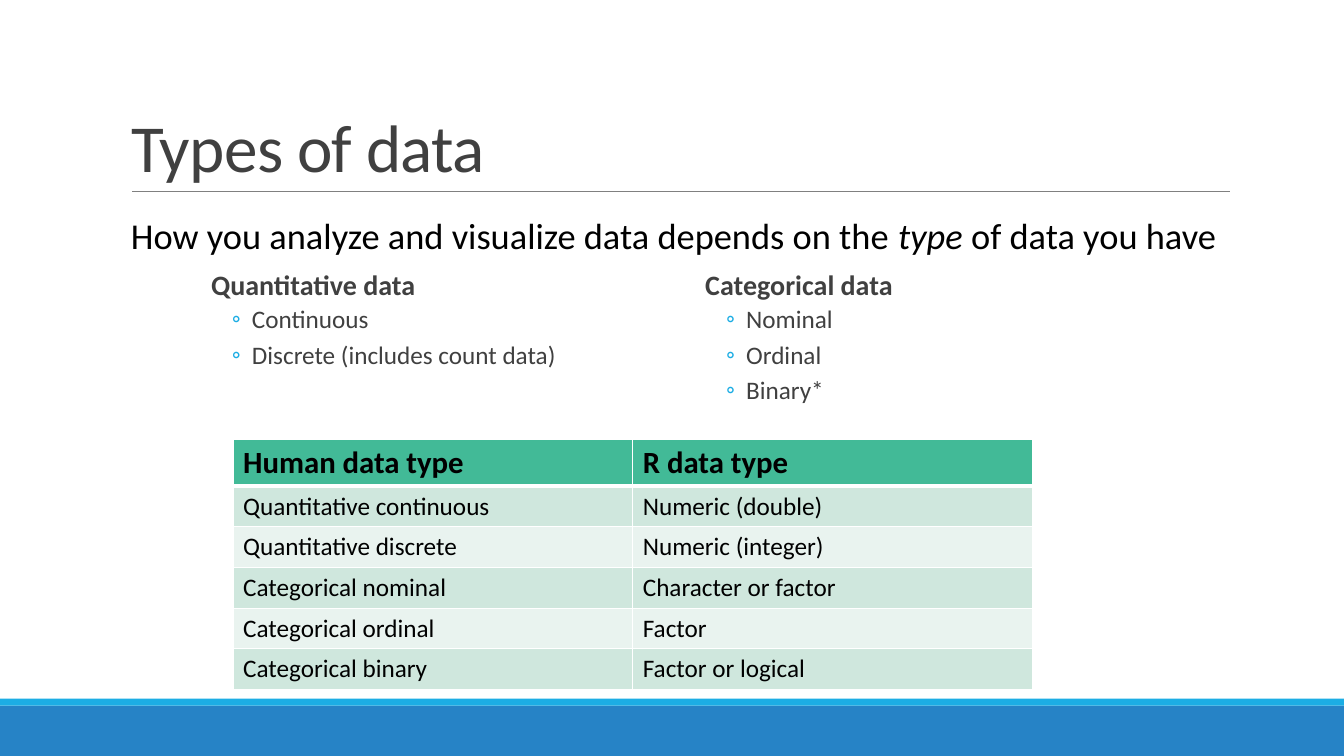
from lxml.etree import SubElement
from pptx import Presentation
from pptx.dml.color import RGBColor
from pptx.enum.shapes import MSO_CONNECTOR, MSO_SHAPE
from pptx.enum.text import MSO_ANCHOR, MSO_AUTO_SIZE, PP_ALIGN
from pptx.oxml.ns import qn
from pptx.util import Pt

BLACK = RGBColor(0x00, 0x00, 0x00)
DARK_GRAY = RGBColor(0x40, 0x40, 0x40)
RULE_GRAY = RGBColor(0x80, 0x80, 0x80)
WHITE = RGBColor(0xFF, 0xFF, 0xFF)
BLUE = RGBColor(0x26, 0x83, 0xC6)
CYAN = RGBColor(0x1C, 0xAD, 0xE4)
GREEN = RGBColor(0x42, 0xBA, 0x97)
MINT = RGBColor(0xCF, 0xE7, 0xDD)
PALE_MINT = RGBColor(0xE9, 0xF3, 0xEF)

FONT = "Calibri"
SLIDE_WIDTH, SLIDE_HEIGHT = 960, 540

DATA_KINDS = [
    ("Quantitative data", ["Continuous", "Discrete (includes count data)"]),
    ("Categorical data", ["Nominal", "Ordinal", "Binary*"]),
]
TYPE_ROWS = [
    ("Human data type", "R data type"),
    ("Quantitative continuous", "Numeric (double)"),
    ("Quantitative discrete", "Numeric (integer)"),
    ("Categorical nominal", "Character or factor"),
    ("Categorical ordinal", "Factor"),
    ("Categorical binary", "Factor or logical"),
]


def place(shape, left, top, width, height):
    shape.left, shape.top = Pt(left), Pt(top)
    shape.width, shape.height = Pt(width), Pt(height)


def set_font(paragraph, size, color, bold=False):
    font = paragraph.font
    font.name = FONT
    font.size = Pt(size)
    font.bold = bold
    font.color.rgb = color


def set_bullet(paragraph, indent, hanging, character=None):
    properties = paragraph._p.get_or_add_pPr()
    properties.set("marL", str(Pt(indent)))
    properties.set("indent", str(-Pt(hanging)))
    if character is None:
        SubElement(properties, qn("a:buNone"))
        return
    color = SubElement(properties, qn("a:buClr"))
    SubElement(color, qn("a:srgbClr"), val=str(CYAN))
    SubElement(properties, qn("a:buFont"), typeface=FONT)
    SubElement(properties, qn("a:buChar"), char=character)


def add_footer_bands(slide, left, top, width, height):
    stripe = 5
    bands = [(top + stripe, height - stripe, BLUE), (top, stripe, CYAN)]
    for band_top, band_height, color in bands:
        band = slide.shapes.add_shape(
            MSO_SHAPE.RECTANGLE, Pt(left), Pt(band_top), Pt(width), Pt(band_height)
        )
        band.shadow.inherit = False
        band.fill.solid()
        band.fill.fore_color.rgb = color
        band.line.fill.background()


def fill_title(slide, left, top, width, height):
    title = slide.shapes.title
    place(title, left, top, width, height)
    frame = title.text_frame
    frame.auto_size = MSO_AUTO_SIZE.NONE
    frame.vertical_anchor = MSO_ANCHOR.BOTTOM
    paragraph = frame.paragraphs[0]
    paragraph.alignment = PP_ALIGN.LEFT
    paragraph.line_spacing = 0.85
    set_font(paragraph, 48, DARK_GRAY)
    run = paragraph.add_run()
    run.text = "Types of data"
    run._r.get_or_add_rPr().set("spc", "-50")

    bottom = Pt(top + height)
    rule = slide.shapes.add_connector(
        MSO_CONNECTOR.STRAIGHT, Pt(left + 8), bottom, Pt(left + width + 87 - 87), bottom
    )
    rule.line.color.rgb = RULE_GRAY
    rule.line.width = Pt(0.5)
    SubElement(rule._element.spPr, qn("a:effectLst"))


def add_statement(slide, left, top, width, height):
    box = slide.shapes.add_textbox(Pt(left), Pt(top), Pt(width), Pt(height))
    box.text_frame.word_wrap = True
    paragraph = box.text_frame.paragraphs[0]
    set_font(paragraph, 26, BLACK)
    for text in ("How you analyze and visualize data depends on the ", "type", " of data you have"):
        run = paragraph.add_run()
        run.text = text
        run.font.italic = text == "type"


def fill_data_kind(placeholder, heading, kinds, left, top, width, height):
    place(placeholder, left, top, width, height)
    frame = placeholder.text_frame
    frame.auto_size = MSO_AUTO_SIZE.NONE
    frame.vertical_anchor = MSO_ANCHOR.TOP
    frame.margin_left = frame.margin_right = 0
    paragraph = frame.paragraphs[0]
    paragraph.text = heading
    paragraph.line_spacing = 0.9
    paragraph.space_before, paragraph.space_after = Pt(0), Pt(2)
    set_bullet(paragraph, 0.75, 0)
    set_font(paragraph, 20, DARK_GRAY, bold=True)
    for kind in kinds:
        paragraph = frame.add_paragraph()
        paragraph.text = kind
        paragraph.level = 1
        paragraph.line_spacing = 0.9
        paragraph.space_before, paragraph.space_after = Pt(2), Pt(4)
        set_bullet(paragraph, 30, 14.4, "◦")
        set_font(paragraph, 18, DARK_GRAY)


def set_borders(cell, bottom_width):
    properties = cell._tc.get_or_add_tcPr()
    for side, width in (("L", 1), ("R", 1), ("T", 1), ("B", bottom_width)):
        border = SubElement(properties, qn(f"a:ln{side}"), w=str(Pt(width)))
        fill = SubElement(border, qn("a:solidFill"))
        SubElement(fill, qn("a:srgbClr"), val=str(WHITE))


def add_type_table(slide, left, top, width, height):
    header_height = 33.5
    row_height = (height - header_height) / (len(TYPE_ROWS) - 1)
    table = slide.shapes.add_table(
        len(TYPE_ROWS), 2, Pt(left), Pt(top), Pt(width), Pt(height)
    ).table
    for row_index, texts in enumerate(TYPE_ROWS):
        is_header = row_index == 0
        table.rows[row_index].height = Pt(header_height if is_header else row_height)
        stripe = MINT if row_index % 2 else PALE_MINT
        for column_index, text in enumerate(texts):
            cell = table.cell(row_index, column_index)
            cell.text = text
            set_borders(cell, 3 if is_header else 1)
            cell.fill.solid()
            cell.fill.fore_color.rgb = GREEN if is_header else stripe
            set_font(cell.text_frame.paragraphs[0], 22 if is_header else 18, BLACK, is_header)


def build_types_slide(presentation):
    slide = presentation.slides.add_slide(presentation.slide_layouts[3])
    add_footer_bands(slide, 0, 499, SLIDE_WIDTH, SLIDE_HEIGHT - 499)
    fill_title(slide, 86.4, 22.5, 792, 114)
    column_width = 353
    bodies = list(slide.placeholders)[1:]
    for index, (body, (heading, kinds)) in enumerate(zip(bodies, DATA_KINDS)):
        fill_data_kind(body, heading, kinds, 150 + index * column_width, 190, column_width, 112)
    add_statement(slide, 86.4, 148.5, 792, 40)
    add_type_table(slide, 166.5, 313.5, 571, 179)


def main():
    presentation = Presentation()
    presentation.slide_width = Pt(SLIDE_WIDTH)
    presentation.slide_height = Pt(SLIDE_HEIGHT)
    build_types_slide(presentation)
    presentation.save("out.pptx")


if __name__ == "__main__":
    main()
